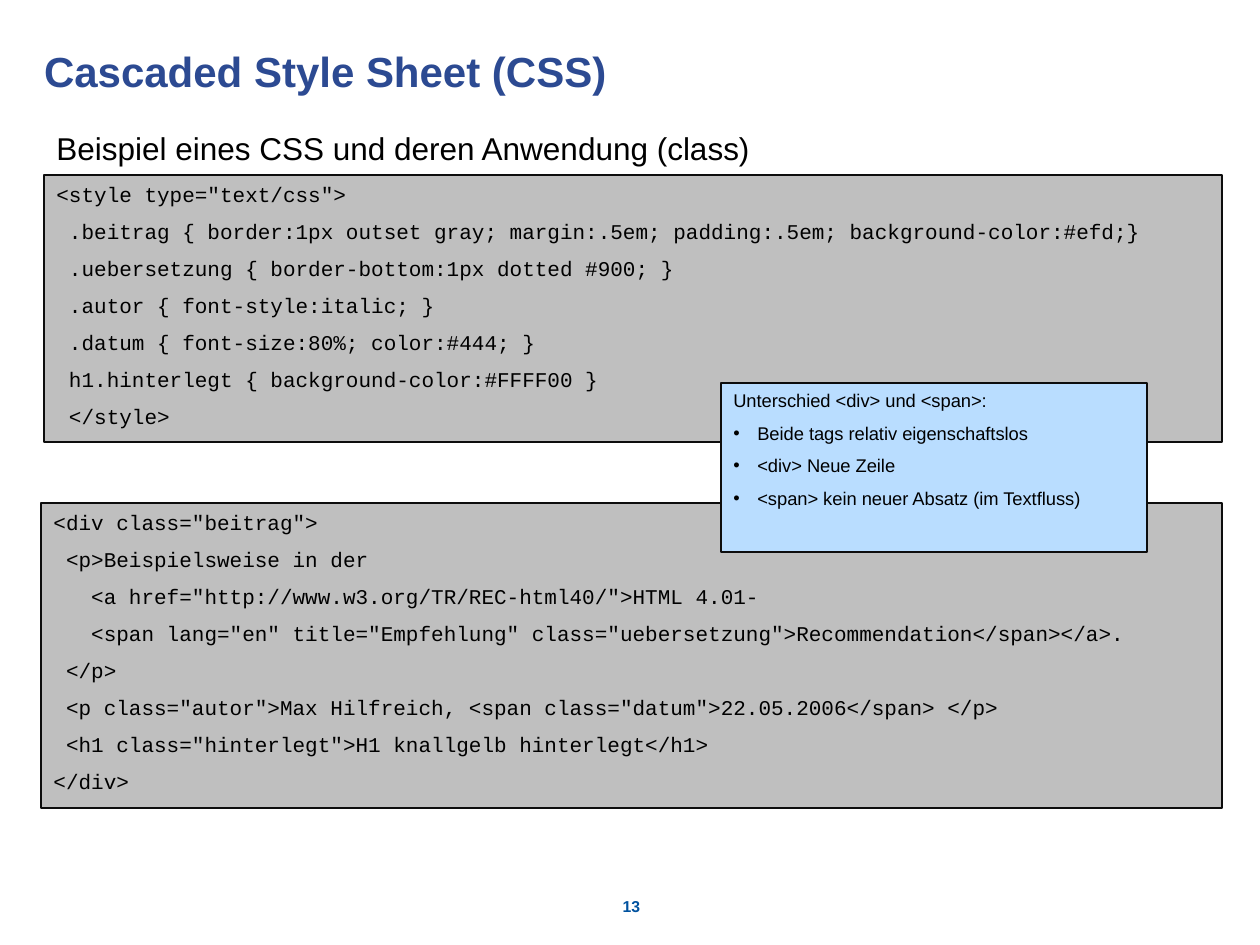
from dataclasses import dataclass
from typing import Optional

from lxml import etree
from pptx import Presentation
from pptx import util as u
from pptx.dml.color import RGBColor
from pptx.enum import shapes, text
from pptx.oxml import ns

PX_PER_INCH = 126
COLORS = {
    "title": "2C4A92",
    "number": "00529F",
    "code": "BFBFBF",
    "note": "B9DDFF",
    "border": "0D0D0D",
    "ink": "000000",
}


@dataclass(frozen=True)
class Style:
    size: float
    color: str = "ink"
    font: str = "Arial"
    bold: bool = False
    gap: float = 0
    align: text.PP_ALIGN = text.PP_ALIGN.LEFT


@dataclass(frozen=True)
class Block:
    left: int
    top: int
    width: int
    height: int
    lines: list[str]
    style: Style
    fill: Optional[str] = None
    frame: Optional[dict] = None
    bullets_from: Optional[int] = None


def px(length: int) -> u.Emu:
    return u.Emu(round(length * 914400 / PX_PER_INCH))


def rgb(key: str) -> RGBColor:
    return RGBColor.from_string(COLORS[key])


def set_all(target, values: dict) -> None:
    for key, value in values.items():
        setattr(target, key, value)


def add_bullet(paragraph, indent: u.Emu) -> None:
    properties = paragraph._p.get_or_add_pPr()
    properties.set("marL", str(indent))
    properties.set("indent", str(-indent))
    for tag, name, value in (("a:buFont", "typeface", "Arial"),
                             ("a:buChar", "char", "•")):
        etree.SubElement(properties, ns.qn(tag)).set(name, value)


def draw_block(slide, block: Block) -> None:
    place = [px(v) for v in (block.left, block.top, block.width, block.height)]
    if block.fill:
        panel = slide.shapes.add_shape(shapes.MSO_SHAPE.RECTANGLE, *place)
        panel.shadow.inherit = False
        panel.fill.solid()
        panel.fill.fore_color.rgb = rgb(block.fill)
        panel.line.color.rgb = rgb("border")
        panel.line.width = u.Pt(0.75)
    else:
        panel = slide.shapes.add_textbox(*place)

    frame = panel.text_frame
    defaults = {"word_wrap": True, "vertical_anchor": text.MSO_ANCHOR.TOP}
    set_all(frame, defaults | (block.frame or {}))

    style = block.style
    for index, line in enumerate(block.lines):
        paragraph = frame.add_paragraph() if index else frame.paragraphs[0]
        if block.bullets_from is not None and index >= block.bullets_from:
            add_bullet(paragraph, px(24))
        paragraph.alignment = style.align
        if index:
            paragraph.space_before = u.Pt(style.gap)
        run = paragraph.add_run()
        run.text = line
        set_all(run.font, {"name": style.font, "size": u.Pt(style.size),
                           "bold": style.bold})
        run.font.color.rgb = rgb(style.color)


CODE = Style(12, font="Courier New", gap=6.8)
TITLE_FRAME = {"vertical_anchor": text.MSO_ANCHOR.MIDDLE, "margin_left": 0,
               "margin_top": 0, "margin_right": 0, "margin_bottom": 0}

STYLE_SHEET = [
    '<style type="text/css">',
    " .beitrag { border:1px outset gray; margin:.5em; padding:.5em; background-color:#efd;}",
    " .uebersetzung { border-bottom:1px dotted #900; }",
    " .autor { font-style:italic; }",
    " .datum { font-size:80%; color:#444; }",
    " h1.hinterlegt { background-color:#FFFF00 }",
    " </style>",
]
MARKUP = [
    '<div class="beitrag">',
    " <p>Beispielsweise in der",
    '   <a href="http://www.w3.org/TR/REC-html40/">HTML 4.01-',
    '   <span lang="en" title="Empfehlung" class="uebersetzung">Recommendation</span></a>.',
    " </p>",
    ' <p class="autor">Max Hilfreich, <span class="datum">22.05.2006</span> </p>',
    ' <h1 class="hinterlegt">H1 knallgelb hinterlegt</h1>',
    "</div>",
]
DIFFERENCES = [
    "Unterschied <div> und <span>:",
    "Beide tags relativ eigenschaftslos",
    "<div> Neue Zeile",
    "<span> kein neuer Absatz (im Textfluss)",
]

BLOCKS = [
    Block(44, 45, 1104, 52, ["Cascaded Style Sheet (CSS)"],
          Style(24, "title", bold=True), frame=TITLE_FRAME),
    Block(600, 891, 63, 32, ["13"],
          Style(9, "number", bold=True, align=text.PP_ALIGN.CENTER)),
    Block(44, 175, 1178, 267, STYLE_SHEET, CODE, fill="code"),
    Block(44, 123, 726, 50, ["Beispiel eines CSS und deren Anwendung (class)"],
          Style(18)),
    Block(41, 503, 1181, 305, MARKUP, CODE, fill="code"),
    Block(721, 383, 426, 169, DIFFERENCES, Style(10.5, gap=6),
          fill="note", bullets_from=1),
]


def main() -> None:
    deck = Presentation()
    set_all(deck, {"slide_width": px(1260), "slide_height": px(945)})
    slide = deck.slides.add_slide(deck.slide_layouts[6])
    for block in BLOCKS:
        draw_block(slide, block)
    deck.save("out.pptx")


if __name__ == "__main__":
    main()
